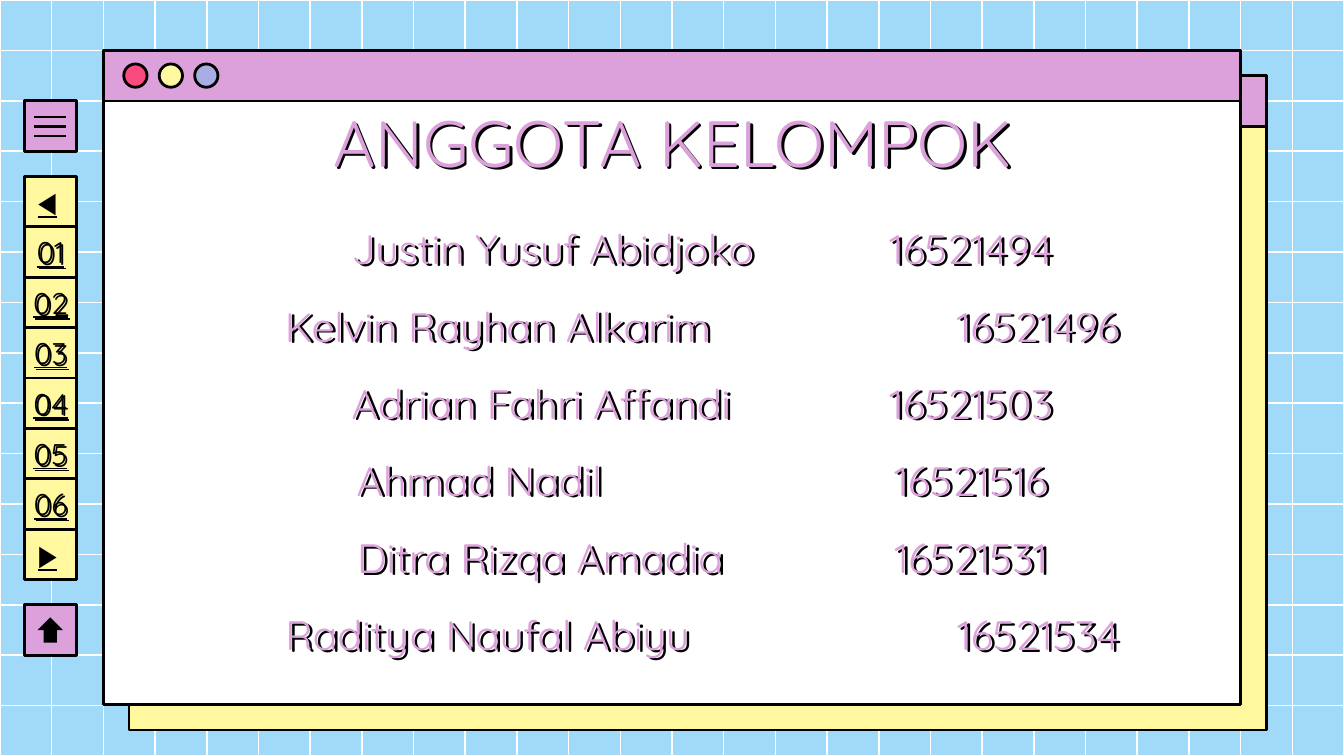
from lxml.etree import SubElement
from pptx import Presentation
from pptx.dml.color import RGBColor
from pptx.enum.shapes import MSO_CONNECTOR, MSO_SHAPE as SHAPE
from pptx.enum.text import MSO_ANCHOR as ANCHOR, MSO_AUTO_SIZE, PP_ALIGN as ALIGN
from pptx.oxml.ns import qn
from pptx.util import Cm, Pt

BLACK = RGBColor(0x00, 0x00, 0x00)
WHITE = RGBColor(0xFF, 0xFF, 0xFF)
SKY = RGBColor(0xA0, 0xDA, 0xF8)
PINK = RGBColor(0xDC, 0xA1, 0xDB)
YELLOW = RGBColor(0xFF, 0xF8, 0x9E)
RED = RGBColor(0xFA, 0x4B, 0x7E)
LILAC = RGBColor(0xA8, 0xAD, 0xE4)

WIDTH, HEIGHT = 25.4, 14.29
ROWS, COLUMNS = 15, 26
CELL = HEIGHT / ROWS
LINE = MSO_CONNECTOR.STRAIGHT

presentation = Presentation()
presentation.slide_width, presentation.slide_height = Cm(WIDTH), Cm(HEIGHT)
slide = presentation.slides.add_slide(presentation.slide_layouts[5])
slide.background.fill.solid()
slide.background.fill.fore_color.rgb = SKY
shapes = slide.shapes


def add_figure(kind, left, top, width, height, fill=None, line=BLACK, weight=1.5):
    """Add a preset shape, or a straight line when kind is LINE."""
    if kind is LINE:
        shape = shapes.add_connector(LINE, Cm(left), Cm(top),
                                     Cm(left + width), Cm(top + height))
    else:
        shape = shapes.add_shape(kind, Cm(left), Cm(top), Cm(width), Cm(height))
        shape.fill.solid()
        shape.fill.fore_color.rgb = fill
    if line is None:
        shape.line.fill.background()
    else:
        shape.line.color.rgb = line
        shape.line.width = Pt(weight)
    SubElement(shape._element.spPr, qn("a:effectLst"))
    return shape


def write_text(shape, lines, size, color=BLACK, font="Quicksand", align=ALIGN.CENTER,
               anchor=ANCHOR.MIDDLE, side=0.25, wrap=True, underline=None,
               spacing=None, gap=0, tabs=(), shadow=0):
    """Write lines as paragraphs; shadow is the offset of a hard text shadow."""
    frame = shape.text_frame
    frame.auto_size = MSO_AUTO_SIZE.NONE
    frame.word_wrap = wrap
    frame.vertical_anchor = anchor
    frame.margin_left = frame.margin_right = Cm(side)
    frame.margin_top = frame.margin_bottom = Cm(0.25)
    for index, line in enumerate(lines):
        paragraph = frame.add_paragraph() if index else frame.paragraphs[0]
        if tabs:
            tab_list = SubElement(paragraph._p.get_or_add_pPr(), qn("a:tabLst"))
            for position in tabs:
                SubElement(tab_list, qn("a:tab"), pos=str(Cm(position)), algn="l")
        paragraph.alignment = align
        paragraph.line_spacing = spacing
        paragraph.space_before = Pt(gap if index else 0)
        run = paragraph.add_run()
        run.text = line
        run.font.name, run.font.size = font, Pt(size)
        run.font.underline = underline
        run.font.color.rgb = color
    if shadow:
        shape.shadow.inherit = False
        effects = shape._element.spPr.find(qn("a:effectLst"))
        outer = SubElement(effects, qn("a:outerShdw"), blurRad="0",
                           dist=str(Cm(shadow)), dir="2700000", algn="bl", rotWithShape="0")
        SubElement(outer, qn("a:srgbClr"), val=str(BLACK))


# Background grid with its frame
frame = add_figure(SHAPE.RECTANGLE, 0, 0, WIDTH, HEIGHT, SKY, WHITE, 0.81)
frame.fill.background()
for row in range(1, ROWS):
    add_figure(LINE, 0, row * CELL, WIDTH, 0, line=WHITE, weight=0.81)
for column in range(1, COLUMNS):
    add_figure(LINE, column * WIDTH / COLUMNS, 0, 0, HEIGHT, line=WHITE, weight=0.81)

# Back and front windows with their title bars
for left, top, fill in ((2.44, 1.43, YELLOW), (1.96, 0.95, WHITE)):
    add_figure(SHAPE.RECTANGLE, left, top, 21.49, 12.37, fill)
    add_figure(SHAPE.RECTANGLE, left, top, 21.49, 0.96, PINK)
for index, fill in enumerate((RED, YELLOW, LILAC)):
    add_figure(SHAPE.OVAL, 2.34 + 0.67 * index, 1.21, 0.44, 0.44, fill)

# Menu button
NAV_LEFT, NAV_WIDTH = 0.46, 0.99
add_figure(SHAPE.RECTANGLE, NAV_LEFT, 2 * CELL, NAV_WIDTH, CELL, PINK)
for index in range(3):
    add_figure(LINE, 0.64, 2.21 + 0.18 * index, 0.6, 0)

# Page buttons
for index, label in enumerate(("◀", "01", "02", "03", "04", "05", "06", "▶")):
    top = (3.5 + index) * CELL
    button = add_figure(SHAPE.RECTANGLE, NAV_LEFT, top, NAV_WIDTH, CELL, YELLOW)
    if label.isdigit():
        box = shapes.add_textbox(Cm(NAV_LEFT), Cm(top + 0.17), Cm(NAV_WIDTH), Cm(0.61))
        write_text(box, [label], 16, side=0, underline=True, shadow=0.05)
    else:
        write_text(button, [label], 16, font="Arial", align=ALIGN.LEFT,
                   wrap=False, underline=True)

# Home button
add_figure(SHAPE.RECTANGLE, NAV_LEFT, 12 * CELL, NAV_WIDTH, CELL, PINK)
arrow = add_figure(SHAPE.UP_ARROW, 0.71, 11.67, 0.48, 0.48, BLACK, None)
arrow.adjustments[0], arrow.adjustments[1] = 0.52, 0.5

# Member list, black layer under pink layer
members = [
    "Justin Yusuf Abidjoko\t\t16521494",
    "Kelvin Rayhan Alkarim\t\t16521496",
    "Adrian Fahri Affandi\t\t16521503",
    "Ahmad Nadil\t\t\t16521516",
    "Ditra Rizqa Amadia\t\t16521531",
    "Raditya Naufal Abiyu\t\t16521534",
]
tab_stops = [2.54 * number for number in range(1, 7)]
for left, top, color in ((3.26, 3.82, BLACK), (3.2, 3.79, PINK)):
    box = shapes.add_textbox(Cm(left), Cm(top), Cm(20.14), Cm(8.97))
    write_text(box, members, 22, color, spacing=1.15, gap=11, tabs=tab_stops)

# Title, brought in front of the windows
title = shapes.title
title.left, title.top, title.width, title.height = Cm(2.01), Cm(1.75), Cm(21.41), Cm(1.91)
write_text(title, ["ANGGOTA KELOMPOK"], 35, PINK, anchor=ANCHOR.BOTTOM, shadow=0.07)
title._element.getparent().append(title._element)

presentation.save("out.pptx")
